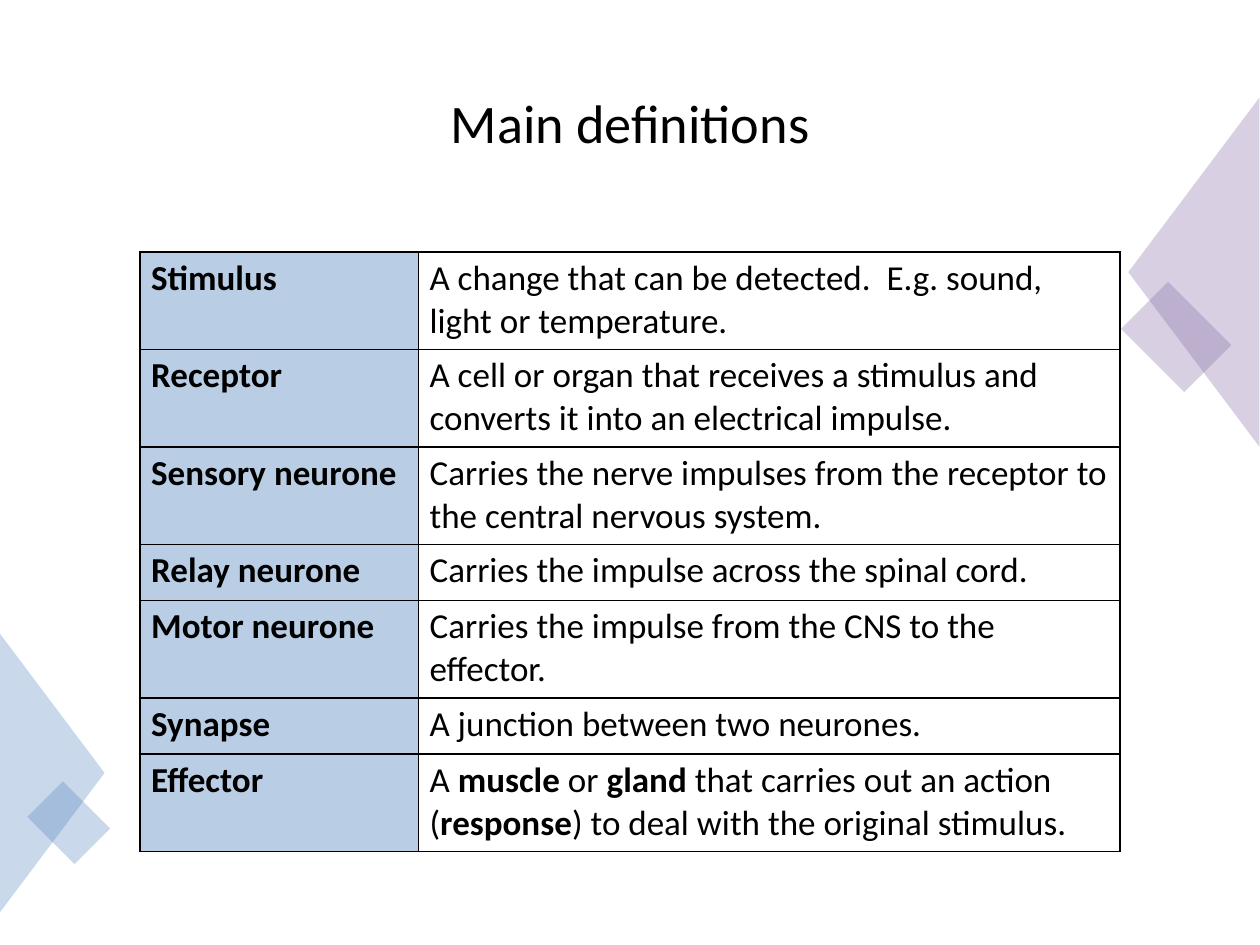
from dataclasses import dataclass

import pptx
import pptx.dml.color
import pptx.enum.shapes
import pptx.enum.text
import pptx.oxml
import pptx.oxml.ns
import pptx.util
from lxml import etree

COLORS = {"text": "000000", "term": "B9CDE5", "purple": "8064A2", "blue": "4F81BD"}
FONT = "Calibri"
SLIDE_W, SLIDE_H = pptx.util.Inches(10), pptx.util.Inches(7.5)
GRID_COLS, GRID_ROWS = 100, 75
SHAPES = pptx.enum.shapes.MSO_SHAPE


@dataclass
class Box:
    """Place on the slide, in grid columns and rows."""
    col: float
    row: float
    cols: float
    rows: float

    def emu(self) -> tuple[int, int, int, int]:
        return across(self.col), down(self.row), across(self.cols), down(self.rows)


@dataclass
class Ornament:
    kind: SHAPES
    box: Box
    rotation: float
    color: str


@dataclass
class Definition:
    """A term and its meaning; words between asterisks are bold."""
    term: str
    meaning: str
    lines: int = 2


ORNAMENTS = [
    Ornament(SHAPES.RECTANGLE, Box(89.8, 24.1, 7.1, 5.3), 45, "purple"),
    Ornament(SHAPES.ISOSCELES_TRIANGLE, Box(80.9, 16.4, 27.7, 10.4), 270, "purple"),
    Ornament(SHAPES.ISOSCELES_TRIANGLE, Box(-6.9, 57.2, 22.1, 8.3), 90, "blue"),
    Ornament(SHAPES.RECTANGLE, Box(2.8, 63.3, 5.3, 4), 45, "blue"),
]
DEFINITIONS = [
    Definition("Stimulus", "A change that can be detected.  E.g. sound, light or temperature."),
    Definition("Receptor", "A cell or organ that receives a stimulus and "
               "converts it into an electrical impulse."),
    Definition("Sensory neurone", "Carries the nerve impulses from the receptor to "
               "the central nervous system."),
    Definition("Relay neurone", "Carries the impulse across the spinal cord.", 1),
    Definition("Motor neurone", "Carries the impulse from the CNS to the effector."),
    Definition("Synapse", "A junction between two neurones.", 1),
    Definition("Effector", "A *muscle* or *gland* that carries out an action "
               "(*response*) to deal with the original stimulus."),
]
TABLE_BOX = Box(11.1, 20, 77.8, 47.6)
COLUMN_WIDTHS = (22.1, 55.7)
ROW_HEIGHTS = {1: 4.46, 2: 7.74}


def across(cols: float) -> int:
    return round(SLIDE_W * cols / GRID_COLS)


def down(rows: float) -> int:
    return round(SLIDE_H * rows / GRID_ROWS)


def rgb(name: str) -> pptx.dml.color.RGBColor:
    return pptx.dml.color.RGBColor.from_string(COLORS[name])


def add_run(p, text: str, size: float, bold: bool = False) -> None:
    r = p.add_run()
    r.text = text
    r.font.name, r.font.size, r.font.bold = FONT, pptx.util.Pt(size), bold
    r.font.color.rgb = rgb("text")


def add_title(s, text: str, box: Box) -> None:
    tf = s.shapes.add_textbox(*box.emu()).text_frame
    tf.word_wrap = True
    tf.vertical_anchor = pptx.enum.text.MSO_ANCHOR.MIDDLE
    p = tf.paragraphs[0]
    p.alignment = pptx.enum.text.PP_ALIGN.CENTER
    add_run(p, text, 31)


def add_ornament(s, ornament: Ornament, opacity: int = 30) -> None:
    sp = s.shapes.add_shape(ornament.kind, *ornament.box.emu())
    sp.rotation = ornament.rotation
    sp.shadow.inherit = False
    sp.line.fill.background()
    sp.fill.solid()
    sp.fill.fore_color.rgb = rgb(ornament.color)
    color = sp.fill._xPr.find(".//" + pptx.oxml.ns.qn("a:srgbClr"))
    etree.SubElement(color, pptx.oxml.ns.qn("a:alpha"), val=str(opacity * 1000))


def add_borders(cell, width: float = 1) -> None:
    tc_pr = cell._tc.get_or_add_tcPr()
    for side in "LRTB":
        tc_pr.append(pptx.oxml.parse_xml(
            f'<a:ln{side} {pptx.oxml.ns.nsdecls("a")} w="{pptx.util.Pt(width)}">'
            f'<a:solidFill><a:srgbClr val="{COLORS["text"]}"/></a:solidFill></a:ln{side}>'))


def fill_cell(cell, text: str, is_term: bool) -> None:
    cell.margin_left = cell.margin_right = pptx.util.Inches(0.09)
    cell.margin_top = cell.margin_bottom = pptx.util.Inches(0.04)
    add_borders(cell)
    if is_term:
        cell.fill.solid()
        cell.fill.fore_color.rgb = rgb("term")
    else:
        cell.fill.background()
    p = cell.text_frame.paragraphs[0]
    for i, part in enumerate(text.split("*")):
        add_run(p, part, 20, bold=is_term or i % 2 == 1)


def add_definitions(s, definitions: list[Definition]) -> None:
    frame = s.shapes.add_table(len(definitions), len(COLUMN_WIDTHS), *TABLE_BOX.emu())
    table = frame.table
    table.first_row = table.horz_banding = False
    for column, width in zip(table.columns, COLUMN_WIDTHS):
        column.width = across(width)
    for row, definition in zip(table.rows, definitions):
        row.height = down(ROW_HEIGHTS[definition.lines])
        fill_cell(row.cells[0], definition.term, True)
        fill_cell(row.cells[1], definition.meaning, False)


def main() -> None:
    prs = pptx.Presentation()
    prs.slide_width, prs.slide_height = SLIDE_W, SLIDE_H
    s = prs.slides.add_slide(prs.slide_layouts[6])
    add_title(s, "Main definitions", Box(5.3, 3.5, 89.4, 12.4))
    for ornament in ORNAMENTS:
        add_ornament(s, ornament)
    add_definitions(s, DEFINITIONS)
    prs.save("out.pptx")


if __name__ == "__main__":
    main()
